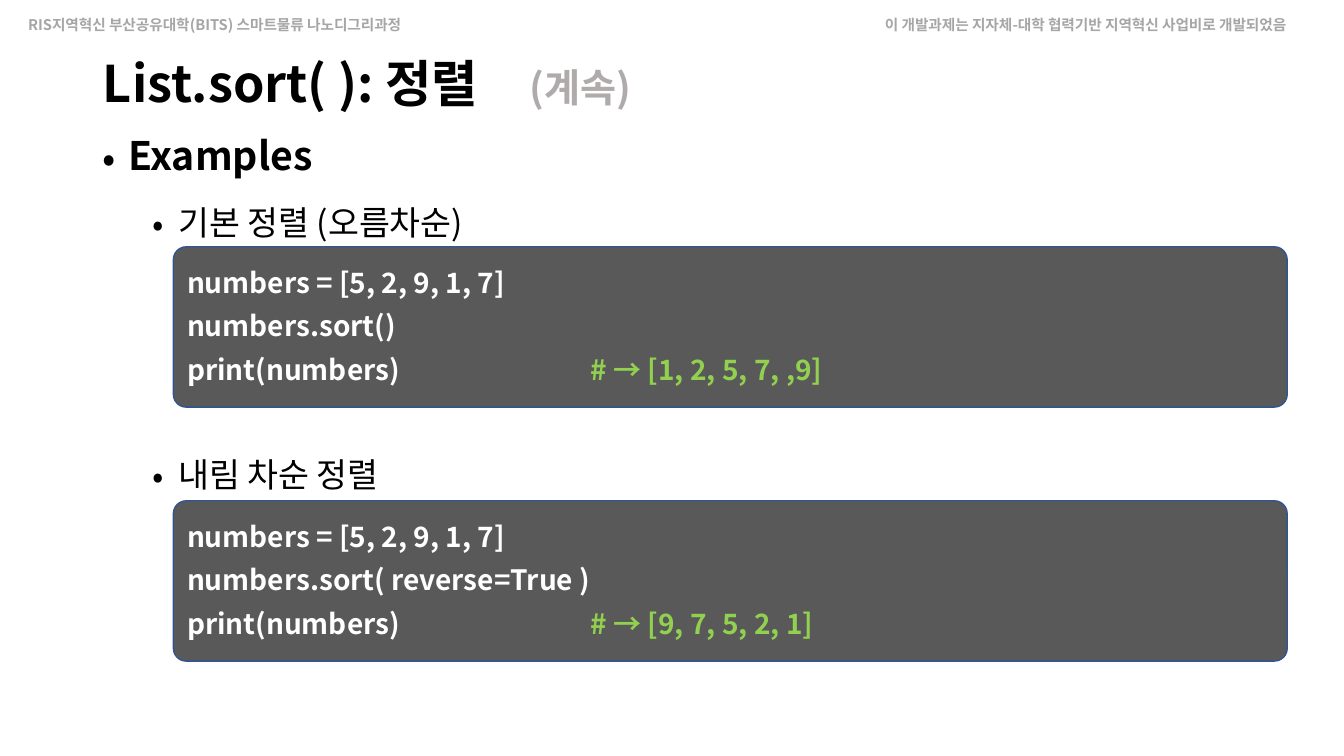
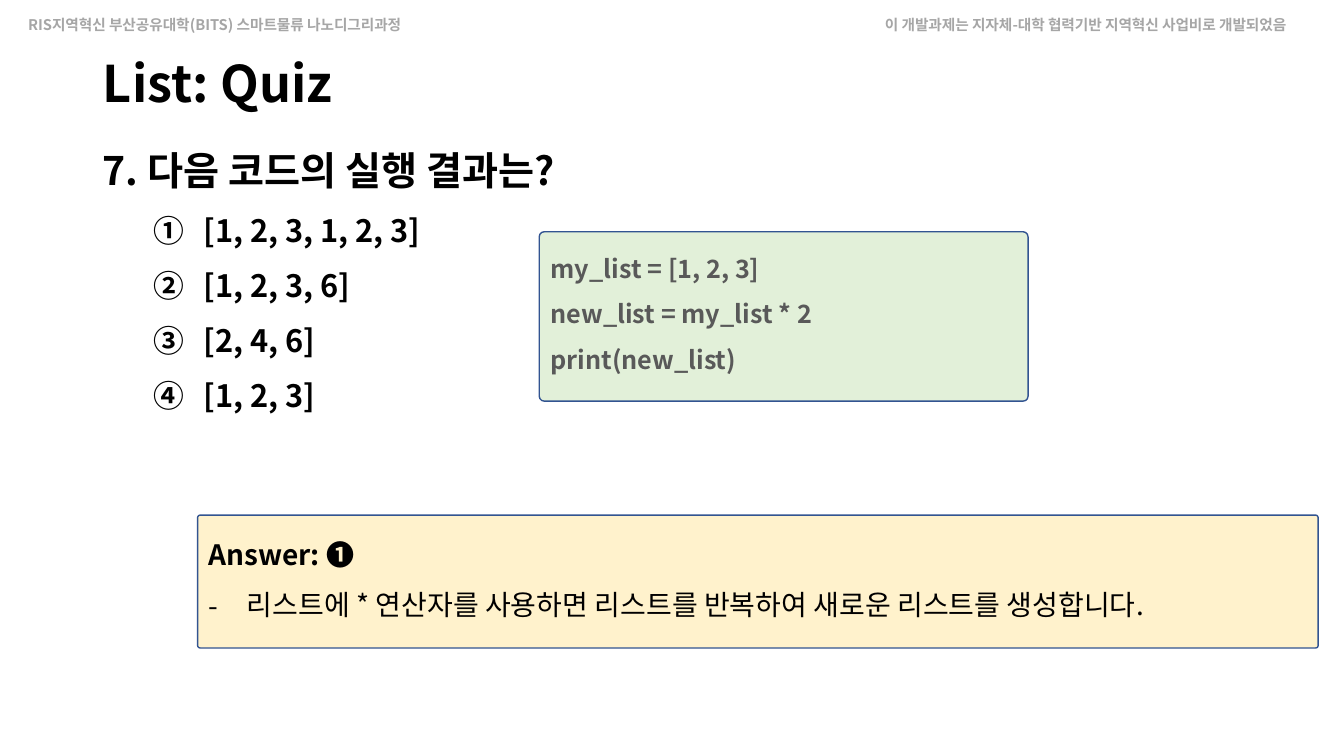
import pptx
import pptx.dml.color
import pptx.enum.shapes
import pptx.enum.text
import pptx.oxml
import pptx.oxml.ns
import pptx.util

Cm = pptx.util.Cm
Pt = pptx.util.Pt

FONT = "Noto Sans CJK KR"
BLACK, WHITE = "000000", "FFFFFF"
HEADER_GREY, CONTINUED_GREY, CODE_GREY = "A6A6A6", "AFABAB", "595959"
OUTPUT_GREEN, OUTLINE_BLUE = "92D050", "325491"
ANSWER_CREAM, QUIZ_GREEN = "FFF2CC", "E2F0D9"
BULLET = f'a:buChar char="•"'
DASH = 'a:buChar char="-"'
CIRCLED = 'a:buAutoNum type="circleNumDbPlain"'
HEADERS = [
    ("RIS지역혁신 부산공유대학(BITS) 스마트물류 나노디그리과정", 0.46, 11.2),
    ("이 개발과제는 지자체-대학 협력기반 지역혁신 사업비로 개발되었음", 22.05, 11.8),
]


def colour(value):
    """Turn a hex string into a colour."""
    return pptx.dml.color.RGBColor.from_string(value)


def add_element(parent, markup):
    """Append a drawing element given by its tag and attributes."""
    parent.append(pptx.oxml.parse_xml(f"<{markup} {pptx.oxml.ns.nsdecls('a')}/>"))


def style(paragraph, size, fill=BLACK, bold=True):
    """Set the font of a whole paragraph."""
    font = paragraph.font
    font.size, font.bold, font.name = Pt(size), bold, FONT
    font.color.rgb = colour(fill)
    add_element(paragraph._p.pPr.find(pptx.oxml.ns.qn("a:defRPr")),
                f'a:ea typeface="{FONT}"')


def set_bullet(paragraph, marker, margin, hanging):
    """Give a paragraph a marker and a hanging indent in centimetres."""
    properties = paragraph._p.get_or_add_pPr()
    properties.set("marL", str(Cm(margin)))
    properties.set("indent", str(-Cm(hanging)))
    add_element(properties, f'a:buFont typeface="{FONT}"')
    add_element(properties, marker)


def set_tab(paragraph, position):
    """Give a paragraph one left tab stop in centimetres."""
    properties = paragraph._p.get_or_add_pPr()
    add_element(properties, "a:tabLst")
    add_element(properties[-1], f'a:tab pos="{Cm(position)}" algn="l"')


def write(frame, text, size, spacing=None, before=0, marker=None, margin=0,
          hanging=0, tab=None, fill=BLACK, bold=True, tail=None):
    """Add a paragraph, with an optional (text, colour, size) tail run."""
    first = frame.paragraphs[0]
    paragraph = frame.add_paragraph() if first.runs else first
    paragraph.alignment = pptx.enum.text.PP_ALIGN.LEFT
    paragraph.line_spacing = spacing
    paragraph.space_before = Pt(before)
    if marker:
        set_bullet(paragraph, marker, margin, hanging)
    if tab:
        set_tab(paragraph, tab)
    style(paragraph, size, fill, bold)
    paragraph.add_run().text = text
    if tail:
        tail_text, tail_fill, tail_size = tail
        run = paragraph.add_run()
        run.text = tail_text
        run.font.size = Pt(tail_size)
        run.font.color.rgb = colour(tail_fill)


def add_text(slide, left, top, width, height):
    """Add a wrapping text box and return its frame."""
    frame = slide.shapes.add_textbox(Cm(left), Cm(top), Cm(width), Cm(height)).text_frame
    frame.word_wrap = True
    return frame


def add_panel(slide, left, top, width, height, fill, rounding):
    """Add an outlined rounded panel and return its frame."""
    panel = slide.shapes.add_shape(pptx.enum.shapes.MSO_SHAPE.ROUNDED_RECTANGLE,
                                   Cm(left), Cm(top), Cm(width), Cm(height))
    panel.adjustments[0] = rounding
    panel.shadow.inherit = False
    panel.fill.solid()
    panel.fill.fore_color.rgb = colour(fill)
    panel.line.color.rgb = colour(OUTLINE_BLUE)
    panel.line.width = Pt(1)
    frame = panel.text_frame
    frame.word_wrap = True
    frame.vertical_anchor = pptx.enum.text.MSO_ANCHOR.TOP
    return frame


def add_slide(deck, title, **options):
    """Add a slide with the running headers and a title."""
    slide = deck.slides.add_slide(deck.slide_layouts[5])
    for text, left, width in HEADERS:
        write(add_text(slide, left, 0.28, width, 0.71), text, 10.5, fill=HEADER_GREY)
    heading = slide.shapes.title
    heading.left, heading.top = Cm(2.34), Cm(1.02)
    heading.width, heading.height = Cm(29.2), Cm(2.29)
    frame = heading.text_frame
    frame.auto_size = pptx.enum.text.MSO_AUTO_SIZE.NONE
    frame.vertical_anchor = pptx.enum.text.MSO_ANCHOR.MIDDLE
    write(frame, title, 36, 0.9, **options)
    return slide


def add_sort_code(slide, top, call, output):
    """Add a dark panel with a sorting program and its output."""
    frame = add_panel(slide, 4.37, top, 28.07, 4.04, CODE_GREY, 0.08)
    for line in ("numbers = [5, 2, 9, 1, 7]", call):
        write(frame, line, 20, Pt(31), fill=WHITE)
    write(frame, "print(numbers)", 20, Pt(31), tab=10.16, fill=WHITE,
          tail=(f"\t# → {output}", OUTPUT_GREEN, 20))


def build_sort_slide(deck):
    """Build the slide with sorting examples."""
    slide = add_slide(deck, "List.sort( ): 정렬", tab=10.75,
                      tail=("\t(계속)", CONTINUED_GREY, 28))
    body = add_text(slide, 2.34, 2.97, 30.68, 16.08)
    write(body, "Examples", 28, Pt(40), marker=BULLET, margin=0.64, hanging=0.64)
    for text, before in (("기본 정렬 (오름차순)", 5), ("내림 차순 정렬", 140)):
        write(body, text, 24, Pt(40), before, BULLET, 1.9, 0.64, bold=False)
    add_sort_code(slide, 6.22, "numbers.sort()", "[1, 2, 5, 7, ,9]")
    add_sort_code(slide, 12.62, "numbers.sort( reverse=True )", "[9, 7, 5, 2, 1]")


def build_quiz_slide(deck):
    """Build the slide with a quiz question and its answer."""
    slide = add_slide(deck, "List: Quiz")
    question = add_text(slide, 2.34, 2.97, 31.19, 16.08)
    write(question, "7. 다음 코드의 실행 결과는?", 28, 1.5)
    for choice in ("[1, 2, 3, 1, 2, 3]", "[1, 2, 3, 6]", "[2, 4, 6]", "[1, 2, 3]"):
        write(question, choice, 22, 1.3, 5, CIRCLED, 2.54, 1.27)
    answer = add_panel(slide, 4.98, 12.98, 28.24, 3.35, ANSWER_CREAM, 0.02)
    write(answer, "Answer: ❶", 20, 1.5)
    write(answer, "리스트에 * 연산자를 사용하면 리스트를 반복하여 새로운 리스트를 생성합니다.",
          20, 1.5, marker=DASH, margin=0.97, hanging=0.97, bold=False)
    code = add_panel(slide, 13.59, 5.84, 12.32, 4.27, QUIZ_GREEN, 0.03)
    for line in ("my_list = [1, 2, 3]", "new_list = my_list * 2", "print(new_list)"):
        write(code, line, 18, 1.5, fill=CODE_GREY)


def main():
    """Build and save the deck."""
    deck = pptx.Presentation()
    deck.slide_width, deck.slide_height = Cm(33.87), Cm(19.05)
    build_sort_slide(deck)
    build_quiz_slide(deck)
    deck.save("out.pptx")


if __name__ == "__main__":
    main()
